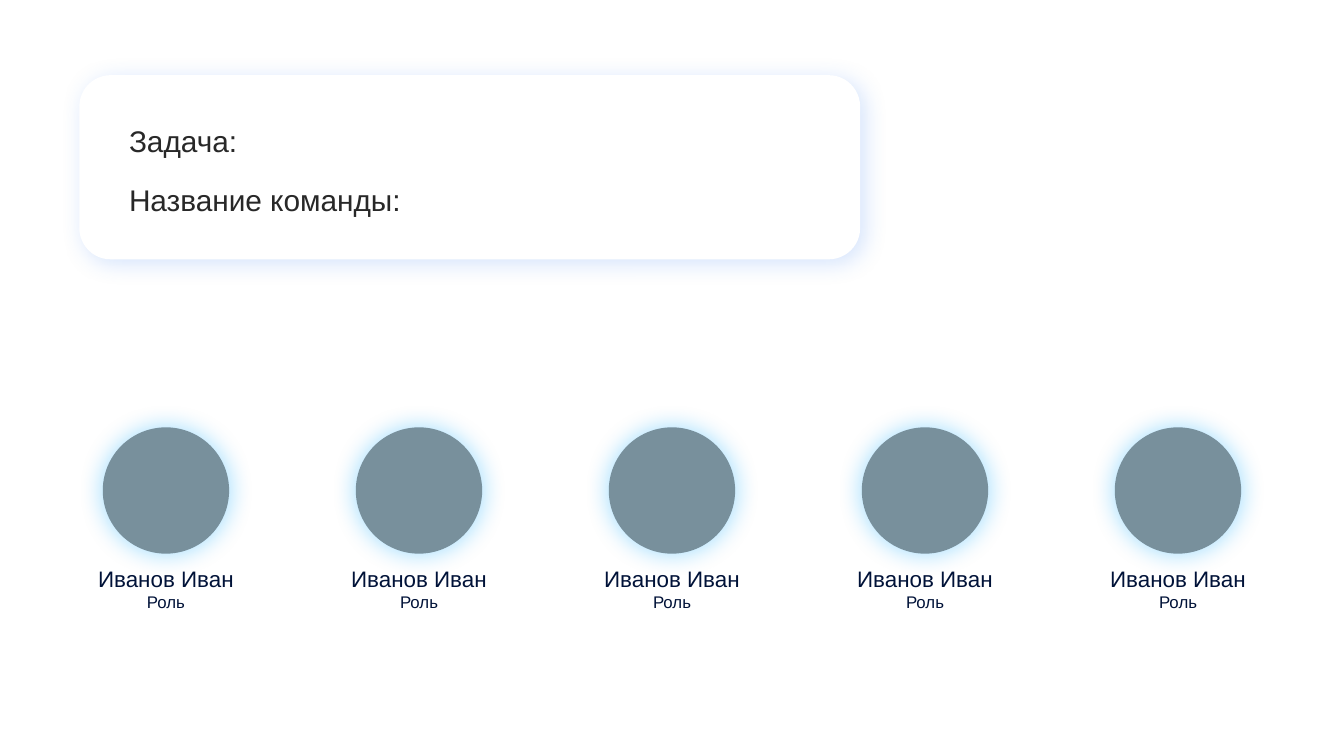
import pptx
import pptx.util
from pptx.dml.color import RGBColor
from pptx.enum.shapes import MSO_SHAPE
from pptx.enum.text import MSO_ANCHOR, MSO_AUTO_SIZE, PP_ALIGN
from pptx.oxml import parse_xml
from pptx.oxml.ns import nsdecls, qn

Inches = pptx.util.Inches

TASK = "Задача:"
TEAM = "Название команды:"
PEOPLE = [("Иванов Иван", "Роль")] * 5

NAVY, INK, GREY, WHITE = "001238", "282828", "78909C", "FFFFFF"
GLOW = ("09A8FF", 40, 13.5, 0, 0)
SHADE = ("4285F4", 22, 12.4, 3, 45)

FIRST, LAST = 0.41, 7.94
WIDE, DISC = 1.65, 0.94


def color(code):
    return RGBColor.from_string(code)


def place(shape, left, top, width, height):
    shape.left, shape.top = Inches(left), Inches(top)
    shape.width, shape.height = Inches(width), Inches(height)


def write(shape, text, size, code, align=PP_ALIGN.LEFT, space=1.0):
    frame = shape.text_frame
    frame.margin_left = frame.margin_right = 0
    frame.margin_top = frame.margin_bottom = 0
    frame.word_wrap = True
    frame.auto_size = MSO_AUTO_SIZE.SHAPE_TO_FIT_TEXT
    frame.vertical_anchor = MSO_ANCHOR.TOP
    para = frame.paragraphs[0]
    para.alignment, para.line_spacing = align, space
    run = para.add_run()
    run.text = text
    run.font.name, run.font.size = "Arial", pptx.util.Pt(size)
    run.font.color.rgb = color(code)


def label(shapes, box, *style):
    """Add a text box holding one line of text."""
    write(shapes.add_textbox(*map(Inches, box)), *style)


def panel(shapes, kind, box, fill, shadow):
    """Add a borderless shape; shadow is colour, opacity %, blur pt, distance pt, angle."""
    shape = shapes.add_shape(kind, *map(Inches, box))
    shape.fill.solid()
    shape.fill.fore_color.rgb = color(fill)
    shape.line.fill.background()
    shape.shadow.inherit = False
    code, alpha, blur, dist, angle = shadow
    effects = shape.element.spPr.find(qn("a:effectLst"))
    effects.append(parse_xml(
        f'<a:outerShdw {nsdecls("a")} blurRad="{int(blur * 12700)}" '
        f'dist="{dist * 12700}" dir="{angle * 60000}" algn="ctr" rotWithShape="0">'
        f'<a:srgbClr val="{code}"><a:alpha val="{alpha * 1000}"/></a:srgbClr>'
        '</a:outerShdw>'))
    return shape


deck = pptx.Presentation()
deck.slide_width = Inches(10)
deck.slide_height = deck.slide_width * 9 // 16
slide = deck.slides.add_slide(deck.slide_layouts[5])

card = panel(slide.shapes, MSO_SHAPE.ROUNDED_RECTANGLE,
             (0.59, 0.56, 5.81, 1.37), WHITE, SHADE)
card.adjustments[0] = 0.17
title = slide.shapes.title
card.element.addnext(title.element)  # keep the title in front of the card
place(title, 0.96, 0.91, 3.36, 0.27)
write(title, TASK, 16, INK)
label(slide.shapes, (0.96, 1.35, 2.69, 0.27), TEAM, 16, INK)

step = (LAST - FIRST) / (len(PEOPLE) - 1)
for i, (name, role) in enumerate(PEOPLE):
    left = FIRST + i * step
    group = slide.shapes.add_group_shape().shapes
    label(group, (left, 4.23, WIDE, 0.18), name, 12, NAVY, PP_ALIGN.CENTER, 0.9)
    label(group, (left, 4.43, WIDE, 0.12), role, 9, NAVY, PP_ALIGN.CENTER, 0.8)
    panel(group, MSO_SHAPE.OVAL,
          (left + (WIDE - DISC) / 2, 3.18, DISC, DISC), GREY, GLOW)

deck.save("out.pptx")
